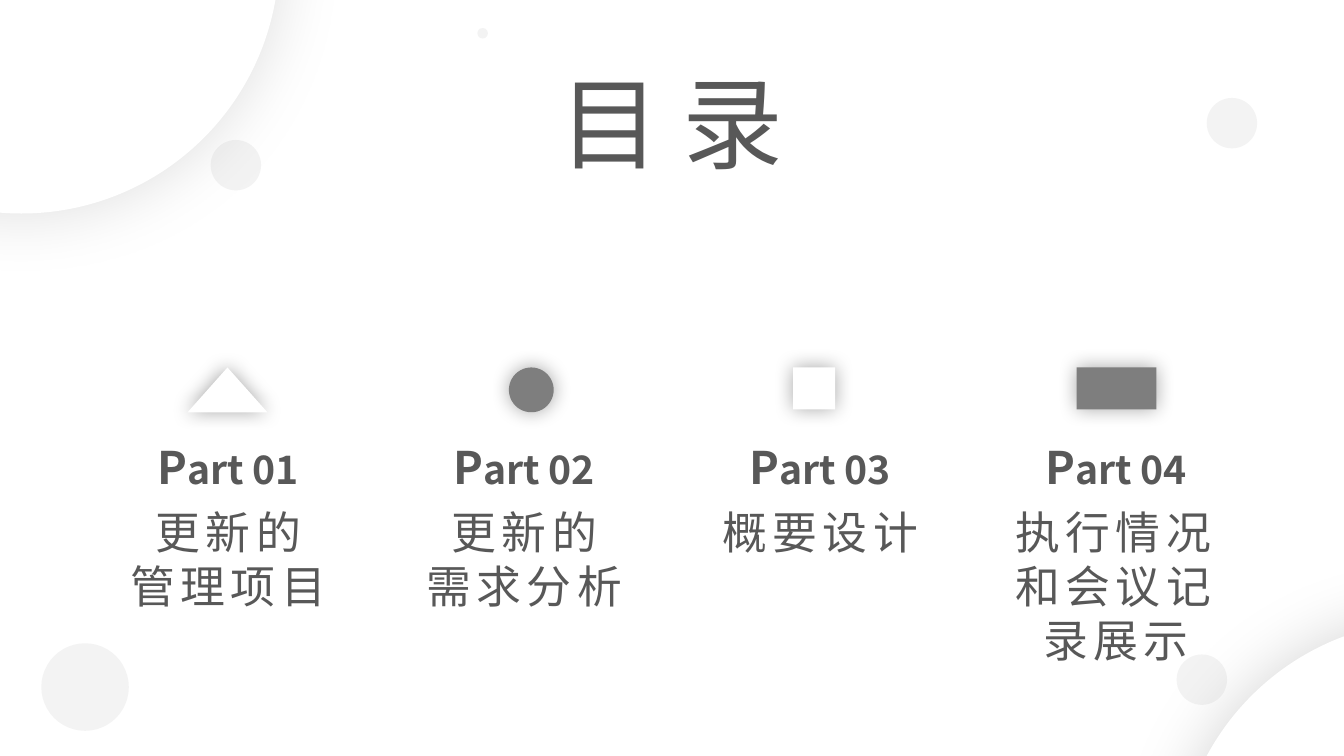
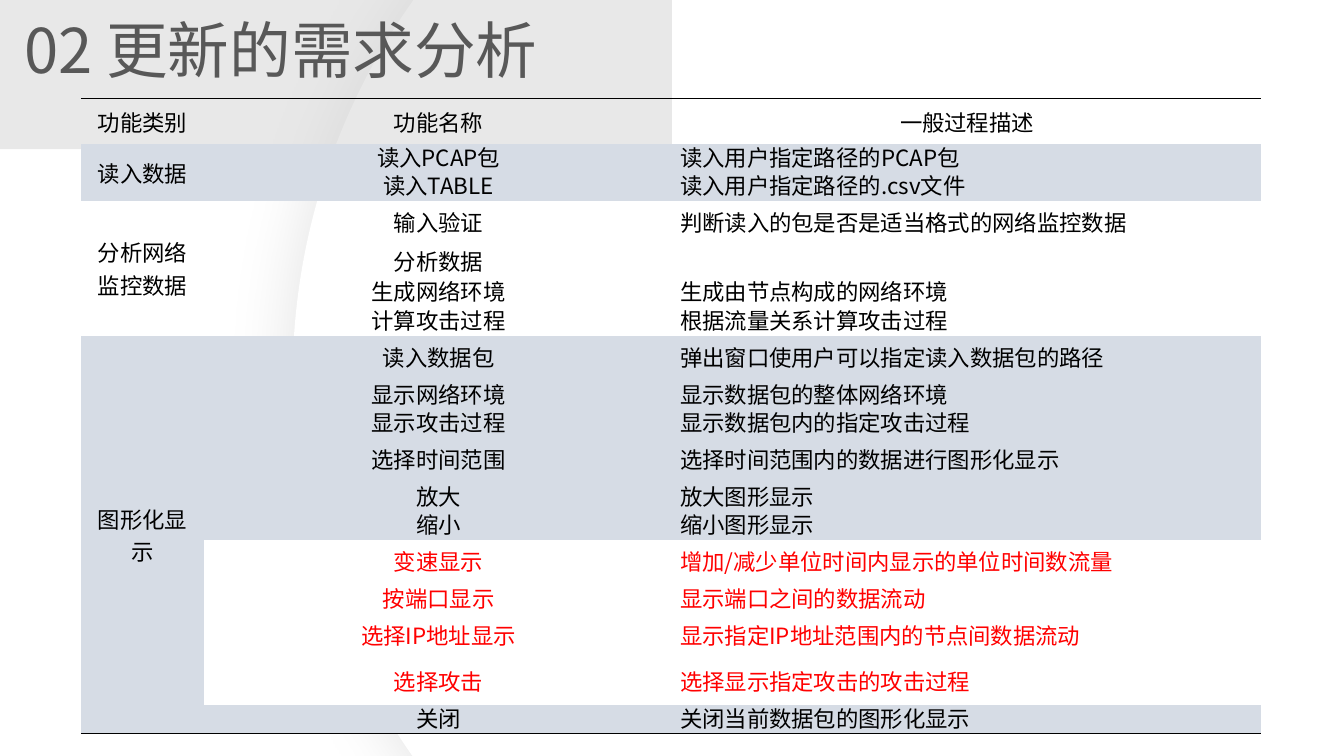
"""Builds a contents slide and a requirements table slide."""
from lxml import etree
from pptx import Presentation
from pptx.dml.color import RGBColor
from pptx.enum.shapes import MSO_SHAPE
from pptx.enum.text import MSO_ANCHOR, MSO_AUTO_SIZE, PP_ALIGN
from pptx.oxml.ns import qn
from pptx.util import Pt

FONT = "Noto Sans CJK SC"
INK, GREY, BAND, WHITE = "585858", "7E7E7E", "D6DCE5", "FFFFFF"
BLACK, RED = "000000", "FF0000"
PLAIN_TABLE = "{2D5ABB26-0587-4C30-8999-92F81FD0307C}"

PARTS = [
    (MSO_SHAPE.ISOSCELES_TRIANGLE, WHITE, (134, 57, 32), ["更新的", "管理项目"]),
    (MSO_SHAPE.OVAL, GREY, (363.5, 32, 32), ["更新的", "需求分析"]),
    (MSO_SHAPE.RECTANGLE, WHITE, (566.5, 30, 30), ["概要设计"]),
    (MSO_SHAPE.RECTANGLE, GREY, (769, 57, 30), ["执行情况和会议记录展示"]),
]
FIRST_CENTRE, PART_STEP = 163, 211.4
BIG_CIRCLES = [(-169, -216, 13), (840, 443, 17)]
DOTS = [(862, 70, 36), (29.5, 459.5, 62.5), (341, 20, 7.5), (150.5, 100, 36), (840.5, 467.5, 36)]

HEADER = ("功能类别", "功能名称", "一般过程描述")
TALL, LOW = 32.6, 20.25
GROUPS = [
    ("读入数据", BAND, [
        (LOW, "读入PCAP包", "读入用户指定路径的PCAP包"),
        (LOW, "读入TABLE", "读入用户指定路径的.csv文件"),
    ]),
    ("分析网络监控数据", None, [
        (TALL, "输入验证", "判断读入的包是否是适当格式的网络监控数据"),
        (LOW, "分析数据", ""),
        (LOW, "生成网络环境", "生成由节点构成的网络环境"),
        (LOW, "计算攻击过程", "根据流量关系计算攻击过程"),
    ]),
    ("图形化显示", BAND, [
        (TALL, "读入数据包", "弹出窗口使用户可以指定读入数据包的路径"),
        (LOW, "显示网络环境", "显示数据包的整体网络环境"),
        (LOW, "显示攻击过程", "显示数据包内的指定攻击过程"),
        (TALL, "选择时间范围", "选择时间范围内的数据进行图形化显示"),
        (LOW, "放大", "放大图形显示"),
        (LOW, "缩小", "缩小图形显示"),
        (TALL, "变速显示", "增加/减少单位时间内显示的单位时间数流量"),
        (LOW, "按端口显示", "显示端口之间的数据流动"),
        (TALL, "选择IP地址显示", "显示指定IP地址范围内的节点间数据流动"),
        (TALL, "选择攻击", "选择显示指定攻击的攻击过程"),
        (LOW, "关闭", "关闭当前数据包的图形化显示"),
    ]),
]
NEW_FEATURES = {"变速显示", "按端口显示", "选择IP地址显示", "选择攻击"}
COLUMNS = (88, 335, 420)


def colour(code):
    return RGBColor.from_string(code)


def add_child(parent, tag, **attributes):
    return etree.SubElement(parent, qn(tag), attributes)


def style(para, size, code=INK, align=PP_ALIGN.CENTER, bold=False, tracking=0, leading=None):
    para.alignment = align
    if leading:
        para.line_spacing = Pt(leading)
    font = para.font
    font.size, font.bold, font.name = Pt(size), bold, FONT
    font.color.rgb = colour(code)
    properties = para._p.pPr.find(qn("a:defRPr"))
    add_child(properties, "a:ea", typeface=FONT)
    if tracking:
        properties.set("spc", str(tracking * 100))
    if not para.text:
        add_child(para._p, "a:endParaRPr", sz=str(size * 100))


def fill_box(box, lines, size, **look):
    frame = box.text_frame
    frame.word_wrap = True
    frame.auto_size = MSO_AUTO_SIZE.NONE
    frame.vertical_anchor = MSO_ANCHOR.TOP
    frame.margin_left = frame.margin_right = Pt(7.2)
    frame.margin_top, frame.margin_bottom = Pt(3.6), 0
    for index, line in enumerate(lines):
        para = frame.paragraphs[0] if index == 0 else frame.add_paragraph()
        para.text = line
        style(para, size, leading=size * 1.2, **look)


def add_text(page, place, lines, size, **look):
    box = page.shapes.add_textbox(*map(Pt, place))
    fill_box(box, lines, size, **look)
    return box


def add_title(page, place, text, size, align):
    title = page.shapes.title
    title.left, title.top, title.width, title.height = map(Pt, place)
    fill_box(title, [text], size, align=align)
    title.element.getparent().append(title.element)


def add_figure(page, kind, place, code, opacity=100, shadow=None):
    figure = page.shapes.add_shape(kind, *map(Pt, place))
    figure.shadow.inherit = False
    figure.fill.solid()
    figure.fill.fore_color.rgb = colour(code)
    figure.line.fill.background()
    properties = figure.element.spPr
    if opacity < 100:
        tint = properties.find(qn("a:solidFill"))[0]
        add_child(tint, "a:alpha", val=str(opacity * 1000))
    if shadow:
        strength, blur, distance, angle = shadow
        outer = add_child(properties.find(qn("a:effectLst")), "a:outerShdw",
                          blurRad=str(Pt(blur)), dist=str(Pt(distance)),
                          dir=str(angle * 60000), algn="ctr", rotWithShape="0")
        add_child(add_child(outer, "a:srgbClr", val=BLACK), "a:alpha", val=str(strength * 1000))


def add_rule(cell, side):
    rule = etree.Element(qn(side), w=str(Pt(1)))
    add_child(add_child(rule, "a:solidFill"), "a:srgbClr", val=BLACK)
    cell._tc.get_or_add_tcPr().insert(0, rule)


def fill_cell(cell, text, band, code=BLACK, align=PP_ALIGN.CENTER, leading=None):
    cell.vertical_anchor = MSO_ANCHOR.MIDDLE
    cell.margin_left = cell.margin_right = Pt(5)
    cell.margin_top = cell.margin_bottom = 0
    if band:
        cell.fill.solid()
        cell.fill.fore_color.rgb = colour(band)
    else:
        cell.fill.background()
    para = cell.text_frame.paragraphs[0]
    para.text = text
    style(para, 16, code, align, leading=leading)


def build_contents(page):
    for left, top, strength in BIG_CIRCLES:
        add_figure(page, MSO_SHAPE.OVAL, (left, top, 368.5, 368.5), WHITE, shadow=(strength, 49, 0, 0))
    add_title(page, (295.5, 40, 368.5, 94.5), "目 录", 72, PP_ALIGN.CENTER)
    for index, (kind, code, (left, width, height), lines) in enumerate(PARTS):
        centre = FIRST_CENTRE + index * PART_STEP
        add_figure(page, kind, (left, 262.5, width, height), code, shadow=(35, 14, 0, 0))
        label = add_text(page, (centre - 61, 310.5, 122, 46), ["P"], 32, bold=True)
        span = label.text_frame.paragraphs[0].add_run()
        span.text = f"art {index + 1:02}"
        span.font.size = Pt(28)
        add_text(page, (centre - 79.5, 357, 159, 124), lines, 32, tracking=4)
    for left, top, size in DOTS:
        add_figure(page, MSO_SHAPE.OVAL, (left, top, size, size), GREY, opacity=9)


def build_requirements(page):
    add_figure(page, MSO_SHAPE.OVAL, (209, -196.5, 934, 934), WHITE, shadow=(10, 48, 3, 180))
    add_figure(page, MSO_SHAPE.RECTANGLE, (0, 0, 480, 106.5), "D1D1D1", opacity=49)
    add_title(page, (10, 5, 470, 60.5), "02 更新的需求分析", 44, PP_ALIGN.LEFT)

    heights = [TALL] + [height for _, _, rows in GROUPS for height, _, _ in rows]
    frame = page.shapes.add_table(len(heights), len(COLUMNS), Pt(57.8), Pt(70.5),
                                  Pt(sum(COLUMNS)), Pt(sum(heights)))
    table = frame.table
    table.first_row = table.horz_banding = False
    table._tbl.tblPr.find(qn("a:tableStyleId")).text = PLAIN_TABLE
    for column, width in zip(table.columns, COLUMNS):
        column.width = Pt(width)
    for row, height in zip(table.rows, heights):
        row.height = Pt(height)

    for index, text in enumerate(HEADER):
        fill_cell(table.cell(0, index), text, None)
    start = 1
    for category, band, rows in GROUPS:
        end = start + len(rows) - 1
        table.cell(start, 0).merge(table.cell(end, 0))
        fill_cell(table.cell(start, 0), category, band)
        for number, (_, name, description) in enumerate(rows, start):
            new = name in NEW_FEATURES
            look = {"band": WHITE if new else band, "code": RED if new else BLACK, "leading": 20}
            fill_cell(table.cell(number, 1), name, **look)
            fill_cell(table.cell(number, 2), description, align=PP_ALIGN.LEFT, **look)
        start = end + 1
    for index in range(len(COLUMNS)):
        add_rule(table.cell(0, index), "a:lnT")
        add_rule(table.cell(len(heights) - 1, index), "a:lnB")
    add_rule(table.cell(len(heights) - len(GROUPS[-1][2]), 0), "a:lnB")


def main():
    deck = Presentation()
    deck.slide_width, deck.slide_height = Pt(960), Pt(540)
    for build in (build_contents, build_requirements):
        build(deck.slides.add_slide(deck.slide_layouts[5]))
    deck.save("out.pptx")


if __name__ == "__main__":
    main()
